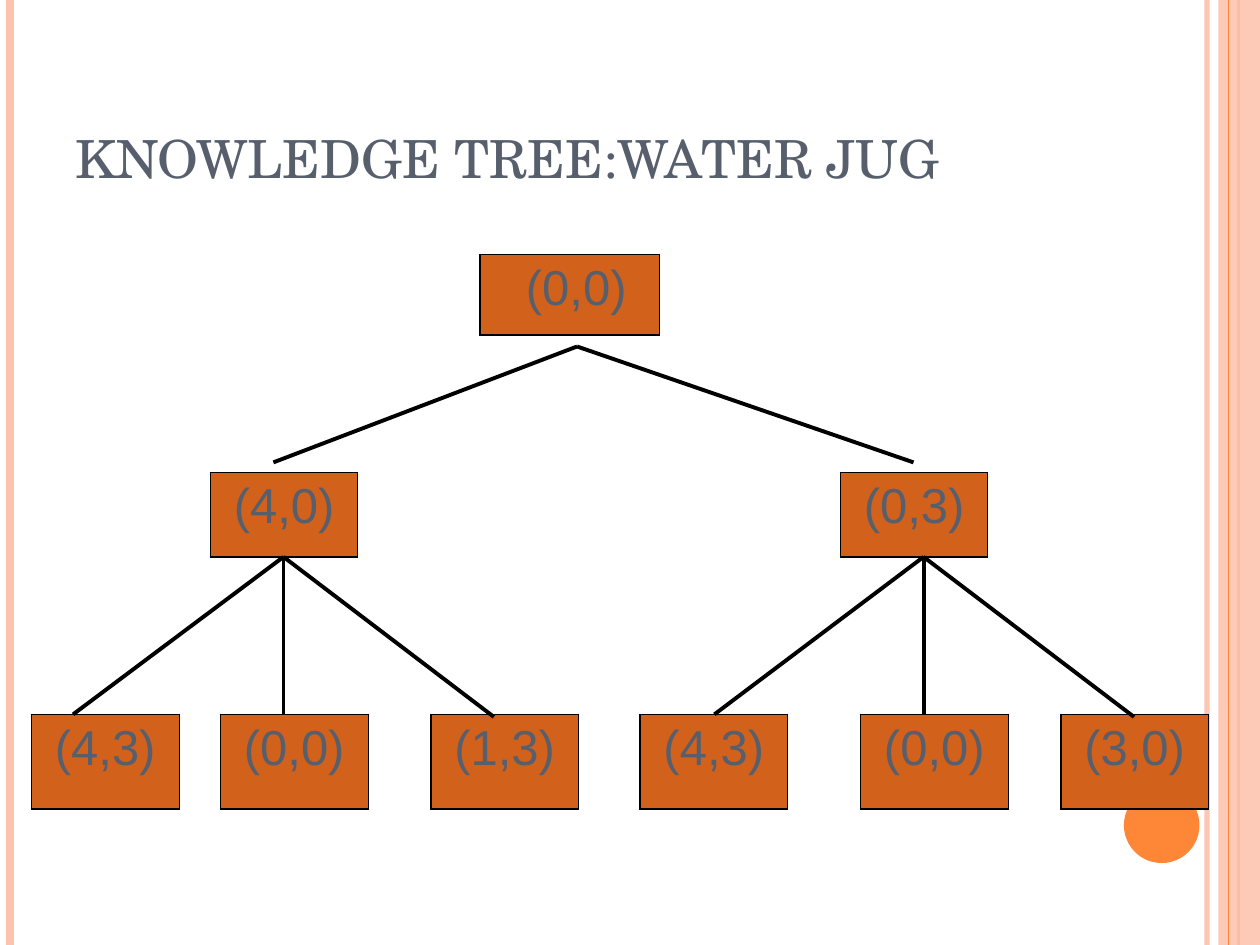
from lxml import etree
from pptx import Presentation
from pptx.dml.color import RGBColor
from pptx.enum.shapes import MSO_CONNECTOR, MSO_SHAPE
from pptx.enum.text import MSO_ANCHOR, PP_ALIGN
from pptx.oxml.ns import qn
from pptx.util import Inches, Pt

STRAIGHT = MSO_CONNECTOR.STRAIGHT
RECTANGLE, OVAL = MSO_SHAPE.RECTANGLE, MSO_SHAPE.OVAL
BOTTOM, CENTER = MSO_ANCHOR.BOTTOM, PP_ALIGN.CENTER

COLORS = {"peach": "FEC3AE", "orange": "FE8637", "node": "D2611C",
          "text": "575F6D", "edge": "000000"}
WIDTH, HEIGHT = 10, 7.5
TITLE = "KNOWLEDGE TREE:WATER JUG"

LEVELS = [
    {"top": 2.02, "width": 1.42, "height": 0.64, "nodes": [(" (0,0)", 3.81)]},
    {"top": 3.75, "width": 1.17, "height": 0.67,
     "nodes": [("(4,0)", 1.67), ("(0,3)", 6.67)]},
    {"top": 5.67, "width": 1.17, "height": 0.75,
     "nodes": [("(4,3)", 0.25), ("(0,0)", 1.75), ("(1,3)", 3.42),
               ("(4,3)", 5.08), ("(0,0)", 6.83), ("(3,0)", 8.42)]},
]
BRANCHES = [
    ((4.58, 2.75), [(2.17, 3.67), (7.25, 3.67)]),
    ((2.25, 4.42), [(0.58, 5.67), (2.25, 5.67), (3.92, 5.69)]),
    ((7.33, 4.42), [(5.67, 5.67), (7.33, 5.67), (9, 5.69)]),
]
BORDERS = [("a:lnL", 1.08), ("a:lnR", 0.45), ("a:lnT", 1.08), ("a:lnB", 1.08)]


def rgb(name):
    return RGBColor.from_string(COLORS[name])


def set_alpha(element, percent):
    color = next(element.iter(qn("a:srgbClr")))
    etree.SubElement(color, qn("a:alpha")).set("val", str(percent * 1000))


def add_line(slide, start, end, color, width):
    line = slide.shapes.add_connector(STRAIGHT, *map(Inches, start + end))
    line.line.color.rgb = rgb(color)
    line.line.width = Pt(width)
    etree.SubElement(line._element.spPr, qn("a:effectLst"))
    return line


def add_rule(slide, x, color, width):
    return add_line(slide, (x, 0), (x, HEIGHT), color, width)


def add_block(slide, kind, box, color):
    shape = slide.shapes.add_shape(kind, *map(Inches, box))
    shape.shadow.inherit = False
    shape.fill.solid()
    shape.fill.fore_color.rgb = rgb(color)
    shape.line.fill.background()
    return shape


def style_font(paragraph, name, size):
    font = paragraph.runs[0].font
    font.name, font.size = name, Pt(size)
    font.color.rgb = rgb("text")


def add_borders(cell):
    properties = cell._tc.get_or_add_tcPr()
    for index, (tag, width) in enumerate(BORDERS):
        border = etree.Element(qn(tag), w=str(Pt(width)))
        fill = etree.SubElement(border, qn("a:solidFill"))
        etree.SubElement(fill, qn("a:srgbClr"), val=COLORS["edge"])
        properties.insert(index, border)


def add_node(slide, label, left, level):
    box = (left, level["top"], level["width"], level["height"])
    table = slide.shapes.add_table(1, 1, *map(Inches, box)).table
    table.first_row = table.horz_banding = False
    cell = table.cell(0, 0)
    cell.fill.solid()
    cell.fill.fore_color.rgb = rgb("node")
    add_borders(cell)
    cell.text_frame.text = label
    paragraph = cell.text_frame.paragraphs[0]
    paragraph.alignment = CENTER
    paragraph.space_before = Pt(7)
    style_font(paragraph, "Arial", 28)


def add_decoration(slide):
    set_alpha(add_rule(slide, 9.58, "peach", 3)._element.spPr, 93)
    add_rule(slide, 0.08, "peach", 4.5)
    add_rule(slide, 9.83, "orange", 1.5)
    band = add_block(slide, RECTANGLE, (9.67, 0, 0.33, HEIGHT), "peach")
    set_alpha(band._element.spPr, 87)
    add_rule(slide, 9.75, "orange", 0.75)
    add_block(slide, OVAL, (8.92, 6.25, 0.6, 0.6), "orange")


def add_title(slide):
    frame = slide.shapes.add_textbox(*map(Inches, (0.5, 0.3, 9, 1.25))).text_frame
    frame.word_wrap = True
    frame.vertical_anchor = BOTTOM
    frame.text = TITLE
    style_font(frame.paragraphs[0], "TeX Gyre Schola", 30)


def main():
    presentation = Presentation()
    presentation.slide_width, presentation.slide_height = Inches(WIDTH), Inches(HEIGHT)
    slide = presentation.slides.add_slide(presentation.slide_layouts[6])
    add_decoration(slide)
    add_title(slide)
    for level in LEVELS:
        for label, left in level["nodes"]:
            add_node(slide, label, left, level)
    for parent, children in BRANCHES:
        for child in children:
            add_line(slide, parent, child, "edge", 2.25)
    presentation.save("out.pptx")


if __name__ == "__main__":
    main()
